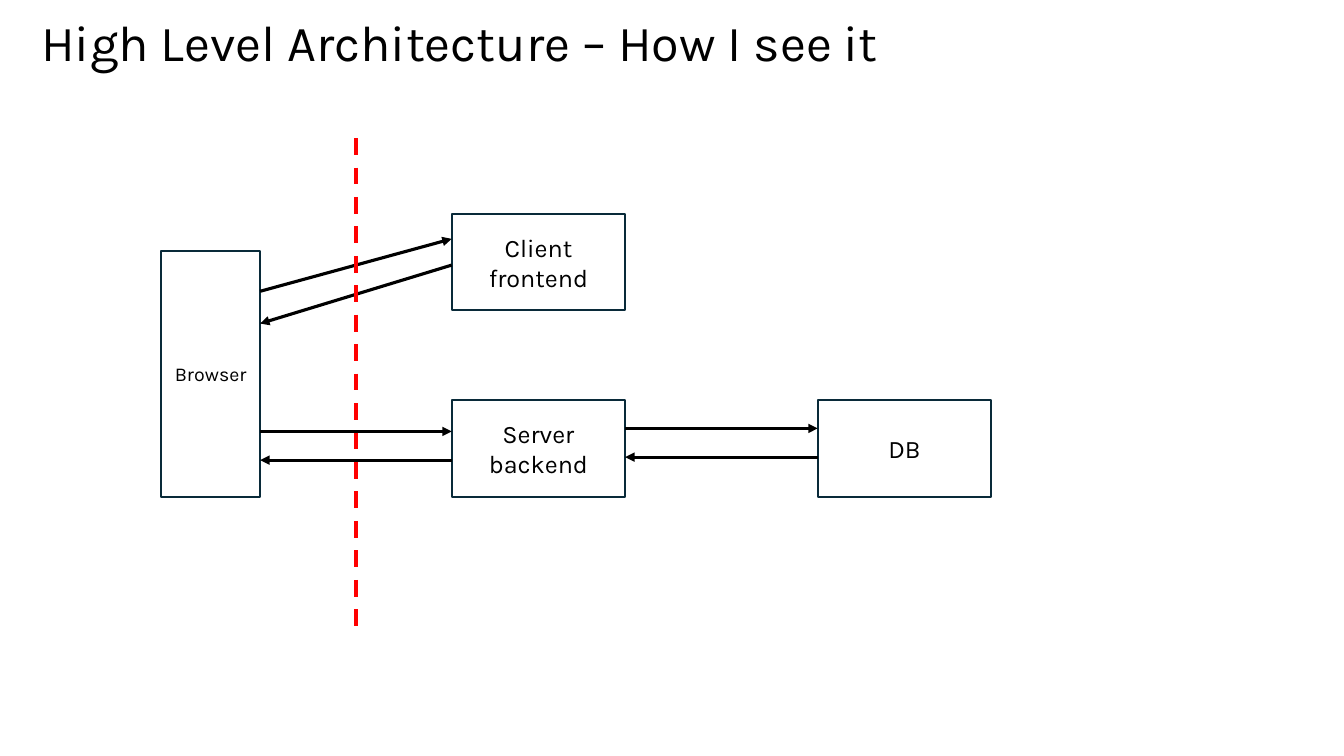
from dataclasses import dataclass

from lxml import etree
from pptx import Presentation
from pptx import util as u
from pptx.dml.color import RGBColor
from pptx.enum import dml, shapes, text
from pptx.oxml import ns


@dataclass(frozen=True)
class Theme:
    font: str = "Karla"
    ink: RGBColor = RGBColor(0x00, 0x00, 0x00)
    outline: RGBColor = RGBColor(0x09, 0x2A, 0x39)
    boundary: RGBColor = RGBColor(0xFF, 0x00, 0x00)
    title_size: int = 36
    label_size: int = 18
    small_size: int = 14


THEME = Theme()


def add_span(para, words, size):
    span = para.add_run()
    span.text = words
    span.font.name = THEME.font
    span.font.size = u.Pt(size)
    span.font.color.rgb = THEME.ink


def place_title(page, words, left, top, width, height):
    title = page.shapes.title
    title.left, title.top = u.Inches(left), u.Inches(top)
    title.width, title.height = u.Inches(width), u.Inches(height)
    frame = title.text_frame
    frame.vertical_anchor = text.MSO_ANCHOR.MIDDLE
    frame.paragraphs[0].alignment = text.PP_ALIGN.LEFT
    add_span(frame.paragraphs[0], words, THEME.title_size)


def add_node(page, lines, left, top, width, height, size=THEME.label_size):
    node = page.shapes.add_shape(
        shapes.MSO_SHAPE.RECTANGLE,
        u.Inches(left), u.Inches(top), u.Inches(width), u.Inches(height))
    node.shadow.inherit = False
    node.fill.background()
    node.line.color.rgb = THEME.outline
    node.line.width = u.Pt(1.5)
    frame = node.text_frame
    frame.word_wrap = True
    frame.vertical_anchor = text.MSO_ANCHOR.MIDDLE
    for index, words in enumerate(lines):
        para = frame.add_paragraph() if index else frame.paragraphs[0]
        para.alignment = text.PP_ALIGN.CENTER
        add_span(para, words, size)


def add_line(page, start, end, color, weight):
    line = page.shapes.add_connector(
        shapes.MSO_CONNECTOR.STRAIGHT,
        *(u.Inches(value) for value in (*start, *end)))
    line.line.color.rgb = color
    line.line.width = u.Pt(weight)
    etree.SubElement(line._element.spPr, ns.qn("a:effectLst"))
    return line


def add_arrow(page, start, end):
    arrow = add_line(page, start, end, THEME.ink, 2.25)
    etree.SubElement(arrow.line._get_or_add_ln(), ns.qn("a:tailEnd"), type="triangle")


def draw_architecture(page, left, top, width, height):
    node_width, node_height = 1.72, 0.96
    browser_width, browser_height = 0.98, 2.44
    bottom = top + 3.56
    lower_top = bottom - node_height
    browser_right = left + browser_width
    middle_left = left + 2.88
    middle_right = middle_left + node_width
    database_left = left + width - node_width

    # Components
    add_node(page, ["Browser"], left, bottom - browser_height,
             browser_width, browser_height, THEME.small_size)
    for lines, node_left, node_top in (
            (["Client", "frontend"], middle_left, top + 0.75),
            (["Server", "backend"], middle_left, lower_top),
            (["DB"], database_left, lower_top)):
        add_node(page, lines, node_left, node_top, node_width, node_height)

    # Request and reply arrows between browser and frontend
    add_arrow(page, (browser_right, top + 1.52), (middle_left, top + 1))
    add_arrow(page, (middle_left, top + 1.26), (browser_right, top + 1.84))

    # Request and reply arrows along the lower row
    for near, far, drop in ((browser_right, middle_left, 0.31),
                            (middle_right, database_left, 0.28)):
        request, reply = lower_top + drop, lower_top + drop + 0.285
        add_arrow(page, (near, request), (far, request))
        add_arrow(page, (far, reply), (near, reply))

    # Boundary halfway between the browser and the services
    middle = (browser_right + middle_left) / 2
    boundary = add_line(page, (middle, top), (middle, top + height), THEME.boundary, 3)
    boundary.line.dash_style = dml.MSO_LINE.DASH


def main():
    deck = Presentation()
    deck.slide_width, deck.slide_height = u.Inches(13.33), u.Inches(7.5)
    page = deck.slides.add_slide(deck.slide_layouts.get_by_name("Title Only"))
    place_title(page, "High Level Architecture – How I see it", 0.31, 0, 11.5, 0.83)
    draw_architecture(page, 1.6, 1.37, 8.23, 4.93)
    deck.save("out.pptx")


if __name__ == "__main__":
    main()
